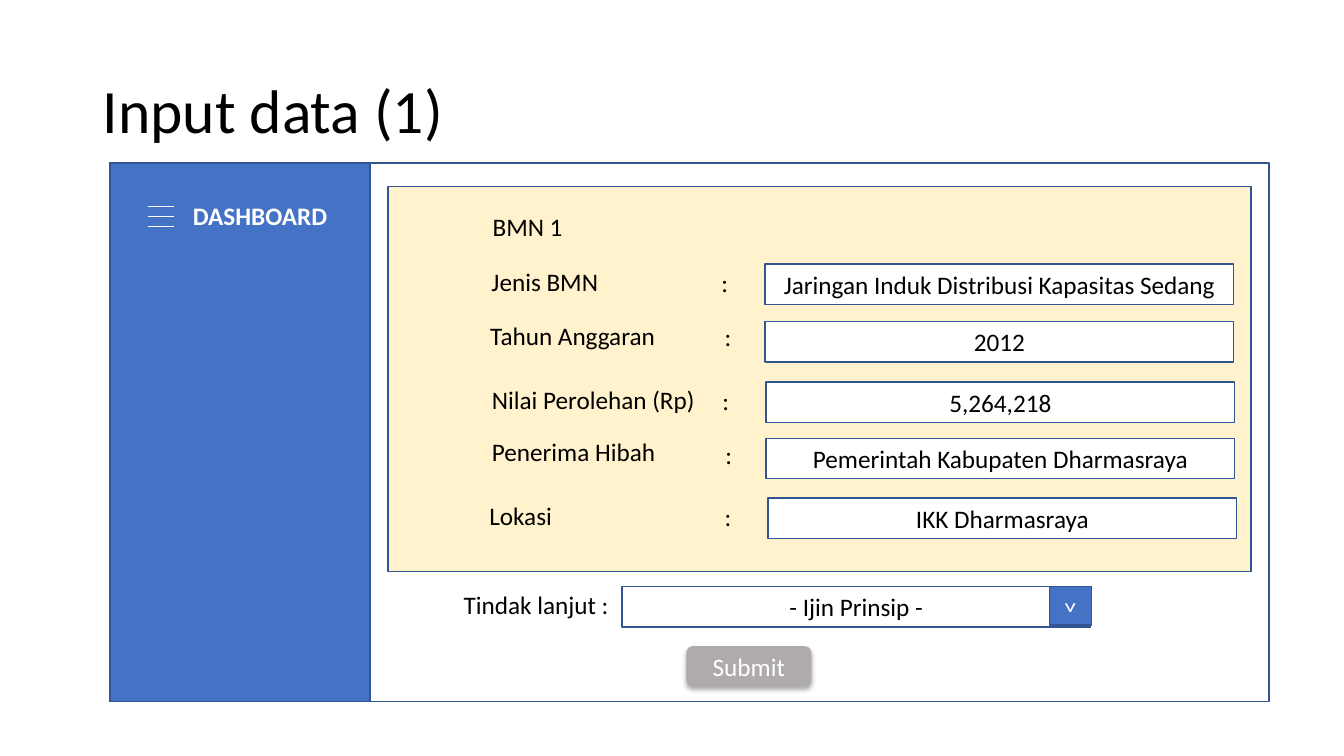
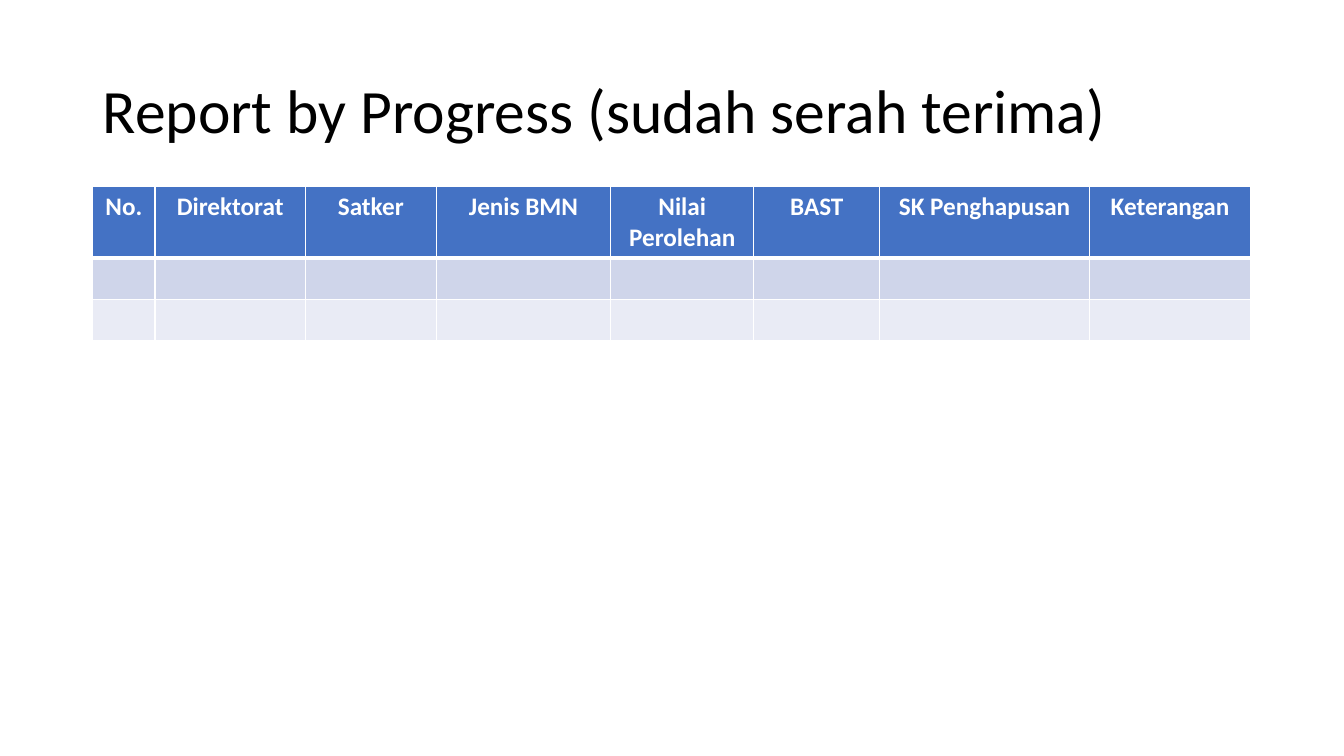
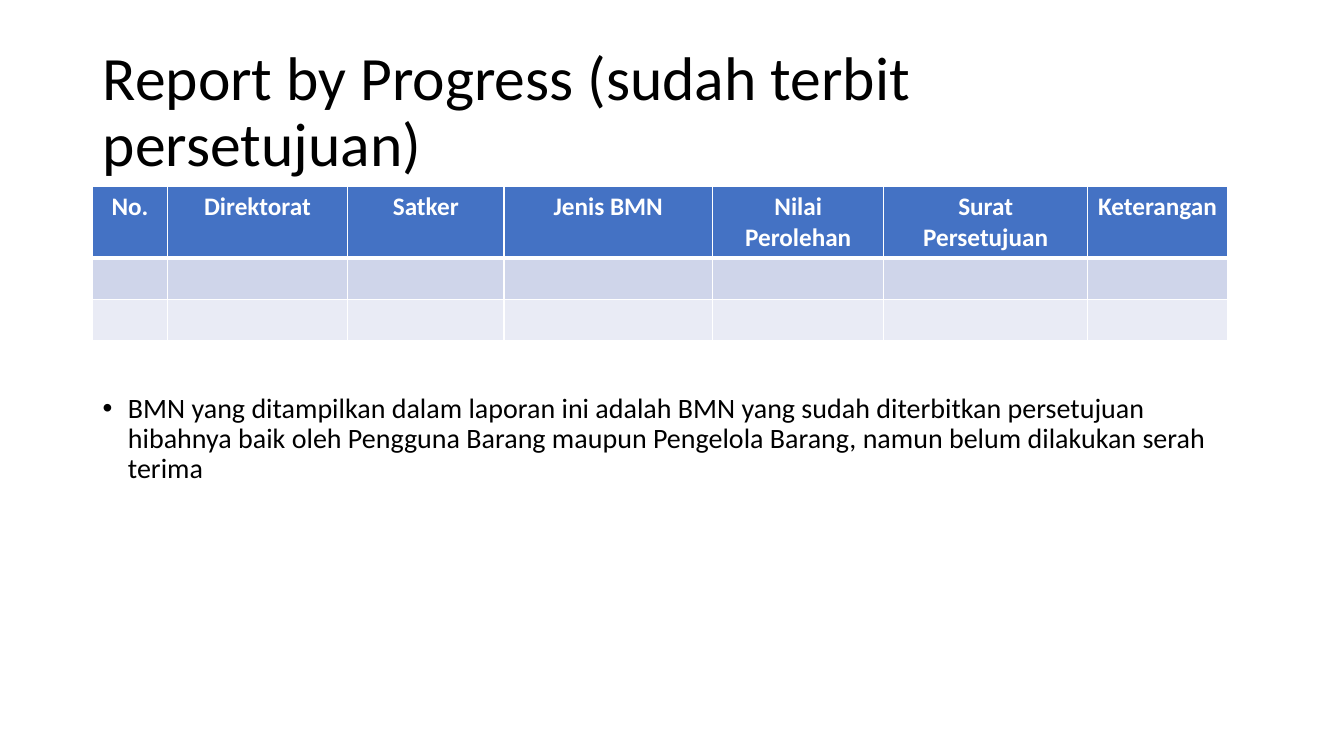
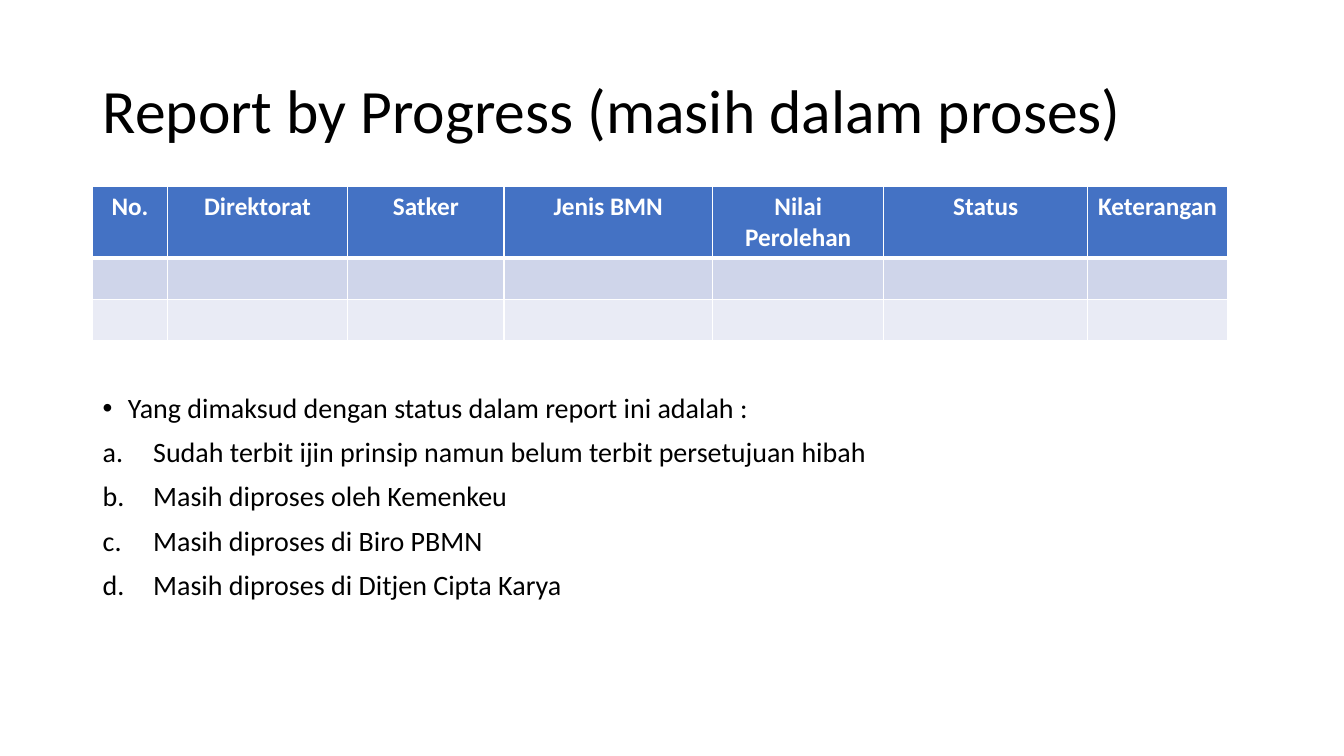
"""Build four slides on asset (BMN) data entry and progress reports."""
from dataclasses import dataclass

from lxml import etree
from pptx import Presentation
from pptx.dml.color import RGBColor
from pptx.enum.shapes import MSO_CONNECTOR, MSO_SHAPE
from pptx.enum.text import MSO_ANCHOR, MSO_AUTO_SIZE, PP_ALIGN
from pptx.oxml.ns import qn
from pptx.shapes.autoshape import Shape
from pptx.slide import Slide
from pptx.text.text import TextFrame, _Paragraph
from pptx.util import Pt

RECTANGLE = MSO_SHAPE.RECTANGLE
ROUNDED = MSO_SHAPE.ROUNDED_RECTANGLE
STRAIGHT = MSO_CONNECTOR.STRAIGHT
LEFT, CENTER = PP_ALIGN.LEFT, PP_ALIGN.CENTER
TOP, MIDDLE = MSO_ANCHOR.TOP, MSO_ANCHOR.MIDDLE
NO_AUTOFIT = MSO_AUTO_SIZE.NONE
TITLE_AND_CONTENT, TITLE_ONLY = 1, 5


@dataclass(frozen=True)
class Theme:
    """Colours, type sizes and font of the deck."""

    font: str = "Calibri"
    black: str = "000000"
    white: str = "FFFFFF"
    blue: str = "4472C4"
    outline: str = "325491"
    cream: str = "FFF2CC"
    grey: str = "AFABAB"
    row_fills: tuple[str, ...] = ("4472C4", "CFD5EA", "E9EBF5")
    title_size: float = 44
    list_size: float = 20
    text_size: float = 18


@dataclass(frozen=True)
class Box:
    """A rectangle in points."""

    left: float
    top: float
    width: float
    height: float


@dataclass(frozen=True)
class FormRow:
    """One label, its colon and its value field."""

    label: str
    value: str
    label_left: float
    label_top: float
    label_width: float
    colon_left: float
    colon_top: float
    field_left: float
    field_top: float


@dataclass(frozen=True)
class Column:
    """A report column with its width in points."""

    heading: str
    width: float


@dataclass(frozen=True)
class Item:
    """A list paragraph, bulleted or lettered."""

    text: str
    lettered: bool = False


@dataclass(frozen=True)
class Report:
    """A titled report table with an optional list below."""

    title: str
    columns: tuple[Column, ...]
    items: tuple[Item, ...] = ()


THEME = Theme()
TITLE_BOX = Box(66.2, 28.8, 828, 104.4)
LIST_BOX = Box(66.2, 277.9, 828, 208.8)
TABLE_LEFT, TABLE_TOP = 66.2, 133.2
ROW_HEIGHTS = (50.2, 29.5, 29.5)
LINE_HEIGHT = 28.8
FIELD_WIDTH = 334.8
COLON_WIDTH = 27.4

FORM_ROWS = (
    FormRow("Jenis BMN", "Jaringan Induk Distribusi Kapasitas Sedang",
            334.1, 186.5, 110.2, 504, 187.2, 546.5, 188.6),
    FormRow("Tahun Anggaran", "2012",
            341.3, 225.4, 135.4, 506.2, 226.1, 546.5, 229.7),
    FormRow("Nilai Perolehan (Rp)", "5,264,218",
            340.6, 270.7, 166.3, 504.7, 271.4, 547.2, 272.9),
    FormRow("Penerima Hibah", "Pemerintah Kabupaten Dharmasraya",
            331.2, 308.2, 157, 506.9, 310.3, 547.2, 313.2),
    FormRow("Lokasi", "IKK Dharmasraya",
            288.7, 353.5, 166.3, 506.2, 354.2, 548.6, 355.7),
)


def progress_columns(status: str) -> tuple[Column, ...]:
    """Return the columns of a report on unfinished transfers."""
    return (
        Column("No.", 53.3), Column("Direktorat", 128.9),
        Column("Satker", 111.6), Column("Jenis BMN", 149),
        Column("Nilai Perolehan", 122.4), Column(status, 145.4),
        Column("Keterangan", 100.1),
    )


REPORTS = (
    Report(
        "Report by Progress (sudah serah terima)",
        (
            Column("No.", 44.6), Column("Direktorat", 107.3),
            Column("Satker", 93.6), Column("Jenis BMN", 124.6),
            Column("Nilai Perolehan", 102.2), Column("BAST", 90),
            Column("SK Penghapusan", 149.8), Column("Keterangan", 115.2),
        ),
    ),
    Report(
        "Report by Progress (sudah terbit persetujuan)",
        progress_columns("Surat Persetujuan"),
        (Item("BMN yang ditampilkan dalam laporan ini adalah BMN yang sudah "
              "diterbitkan persetujuan hibahnya baik oleh Pengguna Barang "
              "maupun Pengelola Barang, namun belum dilakukan serah terima"),),
    ),
    Report(
        "Report by Progress (masih dalam proses)",
        progress_columns("Status"),
        (
            Item("Yang dimaksud dengan status dalam report ini adalah :"),
            Item("Sudah terbit ijin prinsip namun belum terbit persetujuan "
                 "hibah", True),
            Item("Masih diproses oleh Kemenkeu", True),
            Item("Masih diproses di Biro PBMN", True),
            Item("Masih diproses di Ditjen Cipta Karya", True),
        ),
    ),
)


def rgb(color: str) -> RGBColor:
    """Turn a hex string into a colour."""
    return RGBColor.from_string(color)


def place(box: Box) -> tuple[Pt, Pt, Pt, Pt]:
    """Return the box as lengths for python-pptx."""
    return Pt(box.left), Pt(box.top), Pt(box.width), Pt(box.height)


def style_paragraph(para: _Paragraph, size: float, color: str,
                    bold: bool = False, align: PP_ALIGN = CENTER) -> None:
    """Set font and alignment of a paragraph."""
    para.alignment = align
    para.font.name = THEME.font
    para.font.size = Pt(size)
    para.font.bold = bold
    para.font.color.rgb = rgb(color)


def write_centred(frame: TextFrame, text: str, color: str,
                  bold: bool = False) -> None:
    """Write one centred line in the middle of a frame."""
    frame.word_wrap = True
    frame.vertical_anchor = MIDDLE
    frame.text = text
    style_paragraph(frame.paragraphs[0], THEME.text_size, color, bold)


def add_label(page: Slide, box: Box, text: str, color: str = THEME.black,
              bold: bool = False) -> None:
    """Add a plain text label."""
    label = page.shapes.add_textbox(*place(box))
    write_centred(label.text_frame, text, color, bold)


def add_panel(page: Slide, box: Box, fill: str | None,
              line: str | None = THEME.outline, text: str = "",
              color: str = THEME.black, kind: MSO_SHAPE = RECTANGLE) -> Shape:
    """Add a preset shape with fill, outline and centred text."""
    panel = page.shapes.add_shape(kind, *place(box))
    panel.shadow.inherit = False
    if fill:
        panel.fill.solid()
        panel.fill.fore_color.rgb = rgb(fill)
    else:
        panel.fill.background()
    if line:
        panel.line.color.rgb = rgb(line)
        panel.line.width = Pt(1)
    else:
        panel.line.fill.background()
    if text:
        write_centred(panel.text_frame, text, color)
    return panel


def add_soft_shadow(panel: Shape) -> None:
    """Give a shape a soft shadow straight below it."""
    effects = panel._element.spPr.find(qn("a:effectLst"))
    shadow = etree.SubElement(
        effects, qn("a:outerShdw"), blurRad=str(Pt(3.5)), dist=str(Pt(2.2)),
        dir="5400000", algn="ctr", rotWithShape="0")
    tint = etree.SubElement(shadow, qn("a:srgbClr"), val=THEME.black)
    etree.SubElement(tint, qn("a:alpha"), val="32000")


def add_menu_icon(page: Slide, box: Box, bars: int = 3) -> None:
    """Draw the evenly spaced bars of a menu icon."""
    gap = box.height / (bars - 1)
    for index in range(bars):
        height = Pt(box.top + index * gap)
        bar = page.shapes.add_connector(
            STRAIGHT, Pt(box.left), height, Pt(box.left + box.width), height)
        bar.line.color.rgb = rgb(THEME.white)
        bar.line.width = Pt(0.5)
        etree.SubElement(bar._element.spPr, qn("a:effectLst"))


def add_page(deck: Presentation, layout: int, title: str) -> Slide:
    """Add a slide with the shared title style."""
    page = deck.slides.add_slide(deck.slide_layouts[layout])
    heading = page.shapes.title
    heading.left, heading.top, heading.width, heading.height = place(TITLE_BOX)
    frame = heading.text_frame
    frame.text = title
    frame.word_wrap = True
    frame.auto_size = NO_AUTOFIT
    frame.vertical_anchor = MIDDLE
    para = frame.paragraphs[0]
    para.line_spacing = 0.9
    style_paragraph(para, THEME.title_size, THEME.black, align=LEFT)
    return page


def add_form_row(page: Slide, row: FormRow) -> None:
    """Draw label, colon and value field of a form row."""
    add_label(page, Box(row.label_left, row.label_top, row.label_width,
                        LINE_HEIGHT), row.label)
    add_label(page, Box(row.colon_left, row.colon_top, COLON_WIDTH,
                        LINE_HEIGHT), ":")
    add_panel(page, Box(row.field_left, row.field_top, FIELD_WIDTH,
                        LINE_HEIGHT), THEME.white, text=row.value)


def build_form(deck: Presentation) -> None:
    """Build the data entry slide."""
    page = add_page(deck, TITLE_ONLY, "Input data (1)")
    add_panel(page, Box(277.2, 133.2, 616.3, 275), THEME.cream)
    add_panel(page, Box(78.5, 116.6, 828, 384.5), None)
    add_panel(page, Box(78.5, 116.6, 185.8, 384.5), THEME.blue)
    add_label(page, Box(121.7, 131.8, 128.2, 44.6), "DASHBOARD",
              THEME.white, True)
    add_menu_icon(page, Box(105.8, 147.6, 18.7, 14.4))
    add_label(page, Box(321.8, 147.6, 110.2, LINE_HEIGHT), "BMN 1")
    for row in FORM_ROWS:
        add_form_row(page, row)
    submit = add_panel(page, Box(490.3, 461.5, 89.3, LINE_HEIGHT), THEME.grey,
                       None, "Submit", THEME.white, ROUNDED)
    add_soft_shadow(submit)
    add_label(page, Box(321.8, 417.6, 122.4, LINE_HEIGHT), "Tindak lanjut :")
    add_panel(page, Box(444.2, 419, FIELD_WIDTH, LINE_HEIGHT), THEME.white,
              text="- Ijin Prinsip -")
    arrow = add_panel(page, Box(749.5, 419, 30.2, 27.4), THEME.blue,
                      text="^", color=THEME.white)
    arrow.rotation = 180


def add_borders(properties: etree._Element, top: float, bottom: float) -> None:
    """Add white borders to a table cell."""
    sides = {"lnL": 1, "lnR": 1, "lnT": top, "lnB": bottom}
    for side, width in sides.items():
        border = etree.SubElement(properties, qn(f"a:{side}"), w=str(Pt(width)))
        fill = etree.SubElement(border, qn("a:solidFill"))
        etree.SubElement(fill, qn("a:srgbClr"), val=THEME.white)


def add_report_table(page: Slide, columns: tuple[Column, ...]) -> None:
    """Add a heading row and two empty rows."""
    box = Box(TABLE_LEFT, TABLE_TOP, sum(column.width for column in columns),
              sum(ROW_HEIGHTS))
    table = page.shapes.add_table(
        len(ROW_HEIGHTS), len(columns), *place(box)).table
    table.horz_banding = False
    for row, height in zip(table.rows, ROW_HEIGHTS):
        row.height = Pt(height)
    for number, column in enumerate(columns):
        table.columns[number].width = Pt(column.width)
        for level, fill in enumerate(THEME.row_fills):
            cell = table.cell(level, number)
            add_borders(cell._tc.get_or_add_tcPr(), 3 if level == 1 else 1,
                        3 if level == 0 else 1)
            cell.fill.solid()
            cell.fill.fore_color.rgb = rgb(fill)
        heading = table.cell(0, number)
        heading.text = column.heading
        style_paragraph(heading.text_frame.paragraphs[0], THEME.text_size,
                        THEME.white, True)


def add_marker(para: _Paragraph, lettered: bool) -> None:
    """Set hanging indent and a bullet or letter."""
    indent = Pt(36 if lettered else 18)
    properties = para._p.get_or_add_pPr()
    properties.set("marL", str(indent))
    properties.set("indent", str(-indent))
    if lettered:
        etree.SubElement(properties, qn("a:buFont"), typeface="+mj-lt")
        etree.SubElement(properties, qn("a:buAutoNum"), type="alphaLcPeriod")
    else:
        etree.SubElement(properties, qn("a:buFont"), typeface="Arial")
        etree.SubElement(properties, qn("a:buChar"), char="•")


def fill_list(body: Shape, items: tuple[Item, ...]) -> None:
    """Place the body placeholder and write its list."""
    body.left, body.top, body.width, body.height = place(LIST_BOX)
    frame = body.text_frame
    frame.text = "\n".join(item.text for item in items)
    frame.word_wrap = True
    frame.auto_size = NO_AUTOFIT
    frame.vertical_anchor = TOP
    for para, item in zip(frame.paragraphs, items):
        para.line_spacing = 0.9
        para.space_before = Pt(10)
        add_marker(para, item.lettered)
        style_paragraph(para, THEME.list_size, THEME.black, align=LEFT)


def build_report(deck: Presentation, report: Report) -> None:
    """Build one report slide."""
    layout = TITLE_AND_CONTENT if report.items else TITLE_ONLY
    page = add_page(deck, layout, report.title)
    if report.items:
        fill_list(page.placeholders[1], report.items)
    add_report_table(page, report.columns)


def main() -> None:
    """Build and save the deck."""
    deck = Presentation()
    deck.slide_width, deck.slide_height = Pt(960), Pt(540)
    build_form(deck)
    for report in REPORTS:
        build_report(deck, report)
    deck.save("out.pptx")


main()
